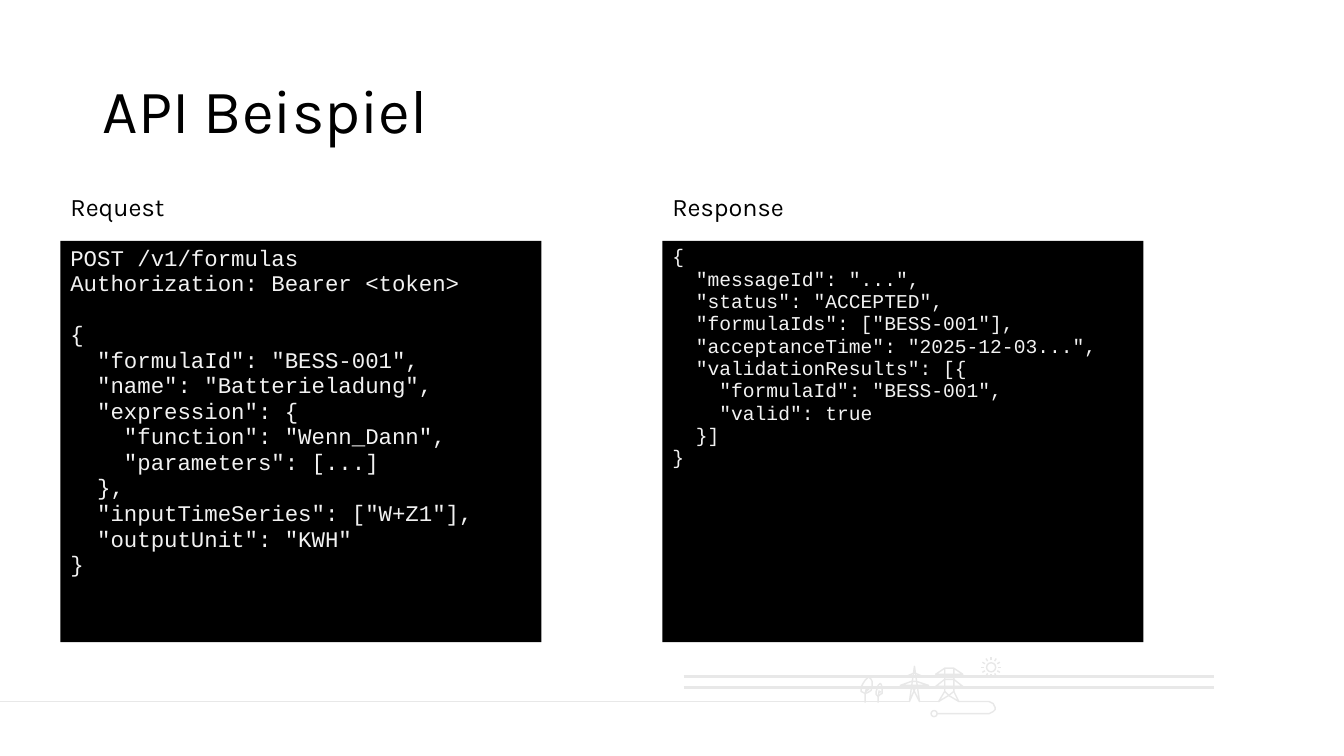
import copy
import math
from pptx import Presentation
from pptx.dml.color import RGBColor
from pptx.enum import shapes, text
from pptx.oxml import ns, xmlchemy
from pptx.util import Inches, Pt

THEME = dict(
    ink="000000", code="F2F2F2", panel="000000", art="E8E8E8",
    font="Karla", mono="Courier New",
    title=44, label=18, thin=1, thick=1.89,
)

TITLE = "API Beispiel"
REQUEST = '''POST /v1/formulas
Authorization: Bearer <token>

{
  "formulaId": "BESS-001",
  "name": "Batterieladung",
  "expression": {
    "function": "Wenn_Dann",
    "parameters": [...]
  },
  "inputTimeSeries": ["W+Z1"],
  "outputUnit": "KWH"
}'''
RESPONSE = '''{
  "messageId": "...",
  "status": "ACCEPTED",
  "formulaIds": ["BESS-001"],
  "acceptanceTime": "2025-12-03...",
  "validationResults": [{
    "formulaId": "BESS-001",
    "valid": true
  }]
}'''
# label, code, code size, left edge
PANELS = [("Request", REQUEST, 16, 0.6), ("Response", RESPONSE, 14, 6.57)]
PANEL_TOP, PANEL_W, PANEL_H = 2.39, 4.77, 3.98
LABEL_TOP, LABEL_W, LABEL_H = 1.85, 2.86, 0.4

GROUND = 6.96
SUN = (9.83, 6.62)
SUN_RADIUS, RAY_START, RAY_END, RAYS = 0.045, 0.07, 0.1, 12
SOCKET = (9.265, 7.08)
SOCKET_RADIUS = 0.03

# x1, y1, x2, y2, width
LINES = [
    (0, GROUND, 9.02, GROUND, "thin"),
    (9.12, GROUND, 9.31, GROUND, "thin"),
    (6.78, 6.71, 12.04, 6.71, "thick"),
    (6.78, 6.82, 12.04, 6.82, "thick"),
    (8.62, 6.83, 8.59, 6.86, "thin"),
    (8.74, 6.86, 8.72, 6.87, "thin"),
]
# closed?, points
OUTLINES = [
    # wide pylon
    (True, [(9.37, 6.86), (9.41, 6.9), (9.46, 6.86), (9.46, 6.63), (9.37, 6.63)]),
    (True, [(9.28, 6.81), (9.55, 6.81), (9.46, 6.74), (9.37, 6.74)]),
    (True, [(9.28, 6.69), (9.55, 6.69), (9.46, 6.63), (9.37, 6.63)]),
    (False, [(9.46, 6.86), (9.51, GROUND), (9.41, 6.9)]),
    (False, [(9.37, 6.86), (9.31, GROUND), (9.41, 6.9)]),
    # pointed pylon
    (True, [(9.04, 6.76), (9.09, 6.76), (9.21, 6.8), (8.93, 6.8)]),
    (True, [(9.06, 6.68), (9.08, 6.68), (9.15, 6.71), (8.99, 6.71)]),
    (False, [(9.09, 6.8), (9.02, GROUND), (9.07, 6.61), (9.12, GROUND), (9.04, 6.8)]),
    # cable
    (False, [(9.51, GROUND), (9.81, GROUND), (9.85, 6.98), (9.87, 7.02),
             (9.87, 7.04), (9.85, 7.06), (9.81, 7.08), (9.29, 7.08)]),
    # large tree
    (True, [(8.61, 6.71), (8.64, 6.74), (8.65, 6.76), (8.65, 6.81), (8.64, 6.85),
            (8.61, 6.87), (8.58, 6.88), (8.56, 6.87), (8.54, 6.86), (8.54, 6.82),
            (8.56, 6.78), (8.58, 6.75), (8.61, 6.72)]),
    (False, [(8.58, 6.97), (8.58, 6.88), (8.6, 6.81)]),
    # small tree
    (True, [(8.71, 6.91), (8.73, 6.89), (8.75, 6.88), (8.75, 6.82), (8.74, 6.79),
            (8.73, 6.78), (8.71, 6.8), (8.7, 6.83), (8.69, 6.86), (8.69, 6.89)]),
    (False, [(8.72, 6.85), (8.71, 6.91), (8.71, 6.97)]),
]


def color(name):
    return RGBColor.from_string(THEME[name])


def write(sp, content, size, font="font", ink="ink", spacing=1.0,
          anchor=text.MSO_ANCHOR.TOP):
    """Fill a shape with one left-aligned paragraph; newlines become line breaks."""
    tf = sp.text_frame
    tf.word_wrap = True
    tf.vertical_anchor = anchor
    p = tf.paragraphs[0]
    p.text = content
    p.alignment = text.PP_ALIGN.LEFT
    p.line_spacing = spacing
    for r in p.runs:
        r.font.size = Pt(size)
        r.font.name = THEME[font]
        r.font.color.rgb = color(ink)
    # line breaks take the size of the text around them
    for br in p._p.findall(ns.qn("a:br")):
        br.append(copy.deepcopy(p.runs[0]._r.rPr))


def textbox(slide, x, y, w, h, content, size, **fmt):
    write(slide.shapes.add_textbox(*map(Inches, (x, y, w, h))), content, size, **fmt)


def code_panel(slide, x, content, size):
    sp = slide.shapes.add_shape(
        shapes.MSO_SHAPE.RECTANGLE, *map(Inches, (x, PANEL_TOP, PANEL_W, PANEL_H)))
    sp.shadow.inherit = False
    sp.fill.solid()
    sp.fill.fore_color.rgb = color("panel")
    sp.line.fill.background()
    write(sp, content, size, font="mono", ink="code", spacing=0.95)


def stroke(sp, width="thin"):
    sp.line.color.rgb = color("art")
    sp.line.width = Pt(THEME[width])


def line(slide, x1, y1, x2, y2, width="thin"):
    sp = slide.shapes.add_connector(
        shapes.MSO_CONNECTOR.STRAIGHT, *map(Inches, (x1, y1, x2, y2)))
    stroke(sp, width)
    sp._element.spPr.append(xmlchemy.OxmlElement("a:effectLst"))


def hollow(sp):
    sp.shadow.inherit = False
    sp.fill.background()
    stroke(sp)


def outline(slide, closed, points):
    start, *rest = [tuple(map(Inches, point)) for point in points]
    builder = slide.shapes.build_freeform(*start)
    builder.add_line_segments(rest, close=closed)
    hollow(builder.convert_to_shape())


def circle(slide, center, radius):
    x, y = center
    hollow(slide.shapes.add_shape(
        shapes.MSO_SHAPE.OVAL,
        *map(Inches, (x - radius, y - radius, 2 * radius, 2 * radius))))


def landscape(slide):
    for segment in LINES:
        line(slide, *segment)
    for closed, points in OUTLINES:
        outline(slide, closed, points)
    circle(slide, SUN, SUN_RADIUS)
    circle(slide, SOCKET, SOCKET_RADIUS)
    for i in range(RAYS):
        angle = 2 * math.pi * i / RAYS
        dx, dy = math.cos(angle), math.sin(angle)
        line(slide, SUN[0] + RAY_START * dx, SUN[1] + RAY_START * dy,
             SUN[0] + RAY_END * dx, SUN[1] + RAY_END * dy)


def main():
    prs = Presentation()
    prs.slide_width, prs.slide_height = Inches(13.33), Inches(7.5)
    slide = prs.slides.add_slide(prs.slide_layouts[6])
    landscape(slide)
    textbox(slide, 0.92, 0.4, 11.5, 1.45, TITLE, THEME["title"],
            spacing=0.9, anchor=text.MSO_ANCHOR.MIDDLE)
    for label, code, size, x in PANELS:
        code_panel(slide, x, code, size)
        textbox(slide, x, LABEL_TOP, LABEL_W, LABEL_H, label, THEME["label"])
    prs.save("out.pptx")


if __name__ == "__main__":
    main()
